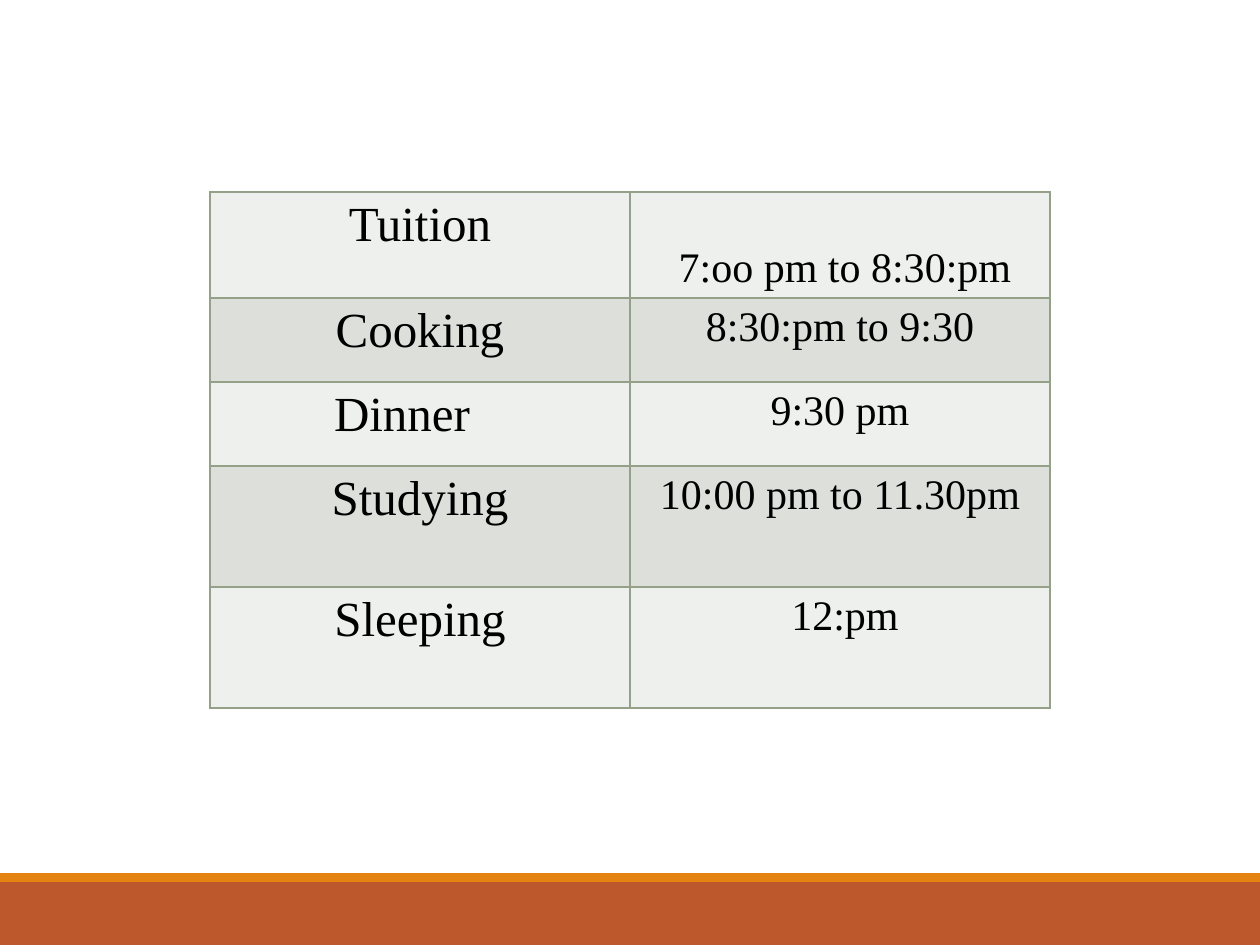
from lxml import etree
from pptx import Presentation
from pptx.dml.color import RGBColor
from pptx.enum.shapes import MSO_SHAPE
from pptx.enum.text import MSO_ANCHOR, PP_ALIGN
from pptx.oxml.ns import qn
from pptx.util import Emu, Pt

RECT = MSO_SHAPE.RECTANGLE
CENTER = PP_ALIGN.CENTER
TOP, BOTTOM = MSO_ANCHOR.TOP, MSO_ANCHOR.BOTTOM

SLIDE_W, SLIDE_H = 1260, 945
BARS = [(882, 63, "BD582C"), (873, 9, "E48312")]

LEFT, TABLE_TOP, COL_W = 210, 192, 420
PAD_X, PAD_Y = 12, 6
FILLS = ["EEF0ED", "DCDFDA"]
BORDER = "94A088"
ACTIVITY = {"size": 28}
TIME = {"size": 24}
ROWS = [
    (106, ("Tuition", ACTIVITY), ("7:oo pm to 8:30:pm", {**TIME, "shift": 5, "anchor": BOTTOM})),
    (84, ("Cooking", ACTIVITY), ("8:30:pm to 9:30", TIME)),
    (84, ("Dinner", {**ACTIVITY, "shift": -18}), ("9:30 pm", TIME)),
    (121, ("Studying", ACTIVITY), ("10:00 pm to 11.30pm", TIME)),
    (121, ("Sleeping", ACTIVITY), ("12:pm", {**TIME, "shift": 5})),
]


def px(n):
    return Emu(round(n * 914400 / 126))


def color(value):
    return RGBColor.from_string(value)


def add_bar(s, top, height, fill):
    sp = s.shapes.add_shape(RECT, 0, px(top), px(SLIDE_W), px(height))
    sp.shadow.inherit = False
    sp.fill.solid()
    sp.fill.fore_color.rgb = color(fill)
    sp.line.fill.background()


def add_borders(cell):
    tc_pr = cell._tc.get_or_add_tcPr()
    for i, side in enumerate(("lnL", "lnR", "lnT", "lnB")):
        ln = etree.Element(qn("a:" + side), w=str(Pt(1)))
        fill = etree.SubElement(ln, qn("a:solidFill"))
        etree.SubElement(fill, qn("a:srgbClr"), val=BORDER)
        tc_pr.insert(i, ln)


def write_cell(cell, text, fill, size=24, shift=0, anchor=TOP):
    cell.fill.solid()
    cell.fill.fore_color.rgb = color(fill)
    cell.margin_left = px(PAD_X + max(0, 2 * shift))
    cell.margin_right = px(PAD_X + max(0, -2 * shift))
    cell.margin_top = cell.margin_bottom = px(PAD_Y)
    cell.vertical_anchor = anchor
    p = cell.text_frame.paragraphs[0]
    p.alignment = CENTER
    r = p.add_run()
    r.text = text
    r.font.name = "Times New Roman"
    r.font.size = Pt(size)
    r.font.bold = False
    r.font.color.rgb = color("000000")
    add_borders(cell)


def add_schedule(s):
    height = sum(row[0] for row in ROWS)
    table = s.shapes.add_table(len(ROWS), 2, px(LEFT), px(TABLE_TOP),
                               px(2 * COL_W), px(height)).table
    for column in table.columns:
        column.width = px(COL_W)
    for i, (row_h, *cells) in enumerate(ROWS):
        table.rows[i].height = px(row_h)
        for j, (text, style) in enumerate(cells):
            write_cell(table.cell(i, j), text, FILLS[i % 2], **style)


def main():
    prs = Presentation()
    prs.slide_width, prs.slide_height = px(SLIDE_W), px(SLIDE_H)
    s = prs.slides.add_slide(prs.slide_layouts[6])
    for bar in BARS:
        add_bar(s, *bar)
    add_schedule(s)
    prs.save("out.pptx")


if __name__ == "__main__":
    main()
